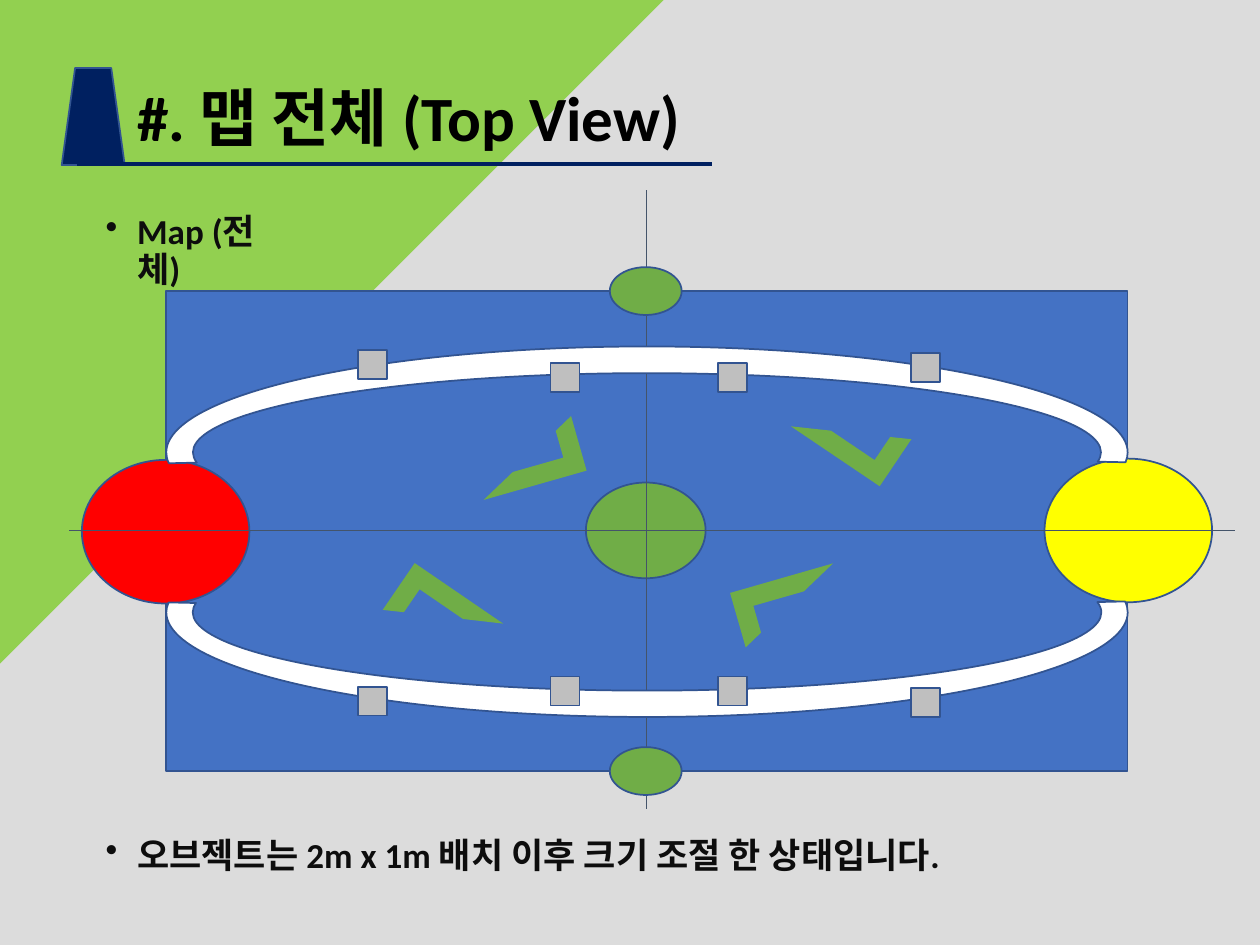
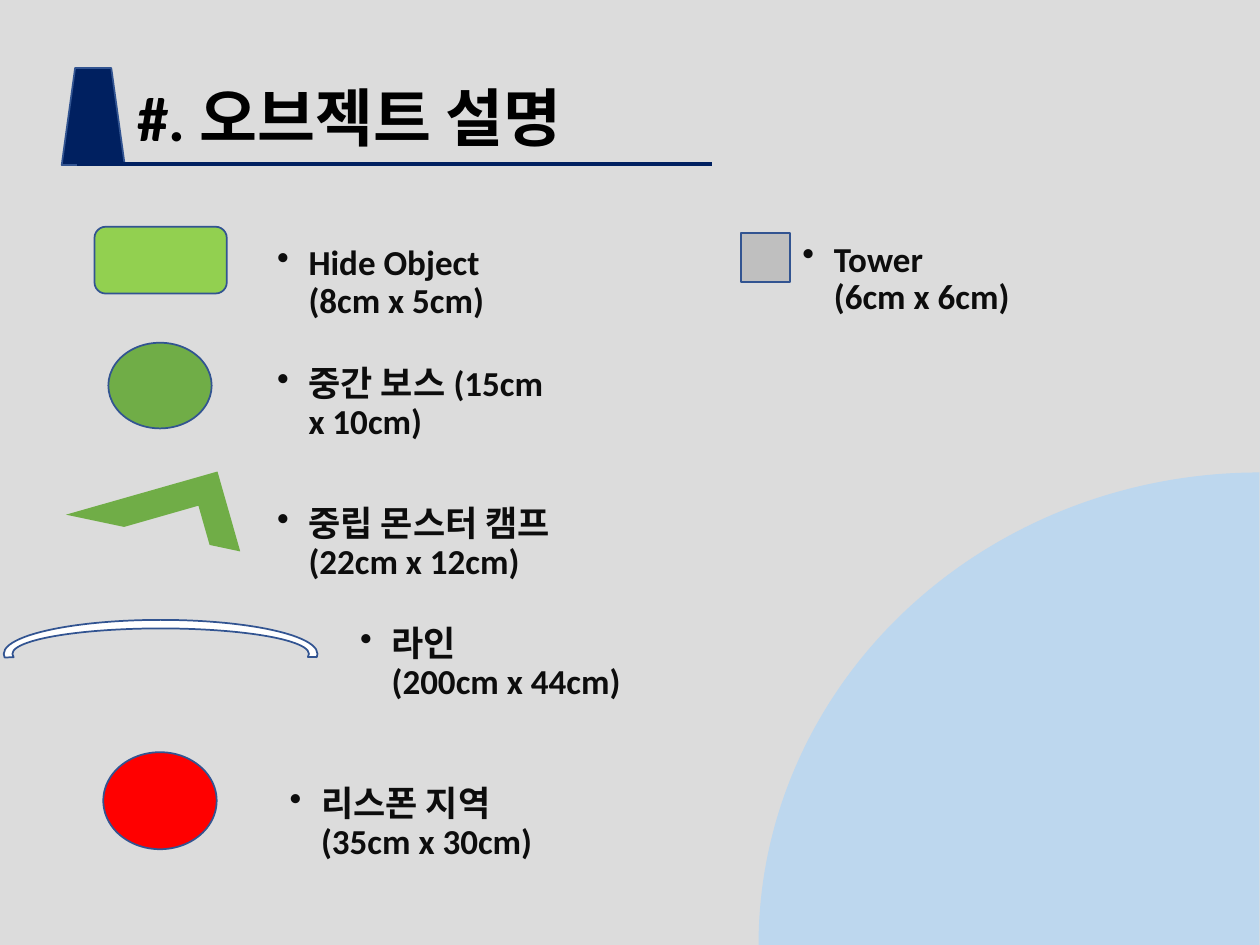
from lxml import etree
from pptx import Presentation
from pptx import util as u
from pptx.dml.color import RGBColor
from pptx.enum import shapes, text
from pptx.oxml import ns

PX = 9144
GREY = RGBColor(0xDC, 0xDC, 0xDC)
LIME = RGBColor(0x92, 0xD0, 0x50)
SKY = RGBColor(0xBD, 0xD7, 0xEE)
NAVY = RGBColor(0x00, 0x20, 0x60)
EDGE = RGBColor(0x32, 0x54, 0x91)
SLATE = RGBColor(0x44, 0x54, 0x6A)
BLUE = RGBColor(0x44, 0x72, 0xC4)
GREEN = RGBColor(0x70, 0xAD, 0x47)
RED = RGBColor(0xFF, 0x00, 0x00)
YELLOW = RGBColor(0xFF, 0xFF, 0x00)
WHITE = RGBColor(0xFF, 0xFF, 0xFF)
SILVER = RGBColor(0xBF, 0xBF, 0xBF)
BLACK = RGBColor(0x00, 0x00, 0x00)
INK = RGBColor(0x0D, 0x0D, 0x0D)
FONT = "Calibri"
ARC = (107.211, 0.716, 0.126)
MS = shapes.MSO_SHAPE


def add_shape(s, kind, box, fill, edge=EDGE, rot=0, adj=(), flip=False):
    sp = s.shapes.add_shape(kind, *[v * PX for v in box])
    sp.shadow.inherit = False
    sp.fill.solid()
    sp.fill.fore_color.rgb = fill
    if edge is None:
        sp.line.fill.background()
    else:
        sp.line.color.rgb = edge
        sp.line.width = u.Pt(1)
    for i, value in enumerate(adj):
        sp.adjustments[i] = value
    sp.rotation = rot
    if flip:
        sp._element.spPr.xfrm.set("flipV", "1")


def add_text(s, words, box, size=20, color=INK, bullet=True):
    tf = s.shapes.add_textbox(*[v * PX for v in box]).text_frame
    tf.word_wrap = True
    p = tf.paragraphs[0]
    p.text = words
    for r in p.runs:
        r.font.name = FONT
        r.font.size = u.Pt(size)
        r.font.bold = True
        r.font.color.rgb = color
    if bullet:
        p.line_spacing = 0.9
        p.space_before = u.Pt(10)
        pPr = p._p.get_or_add_pPr()
        pPr.set("marL", str(25 * PX))
        pPr.set("indent", str(-25 * PX))
        etree.SubElement(pPr, ns.qn("a:buChar")).set("char", "•")
    else:
        tf.auto_size = text.MSO_AUTO_SIZE.SHAPE_TO_FIT_TEXT


prs = Presentation()
prs.slide_width = 1000 * PX
prs.slide_height = 750 * PX
map_slide, legend = [prs.slides.add_slide(prs.slide_layouts[6]) for _ in range(2)]

for s in (map_slide, legend):
    add_shape(s, MS.RECTANGLE, (0, 0, 1000, 750), GREY, edge=None)
add_shape(map_slide, MS.ISOSCELES_TRIANGLE, (-244, -56, 748, 375), LIME, edge=None, rot=315)
add_shape(legend, MS.PIE, (602, 375, 795, 750), SKY, edge=None, adj=(107.825, 162))

for s, title in ((map_slide, "#. 맵 전체 (Top View)"), (legend, "#. 오브젝트 설명")):
    add_shape(s, MS.TRAPEZOID, (49, 54, 50, 77), NAVY, adj=(0.213,))
    add_text(s, title, (99, 57, 832, 71), size=36, color=BLACK, bullet=False)

add_text(map_slide, "Map (전체)", (74, 165, 170, 40))
add_text(map_slide, "오브젝트는 2m x 1m 배치 이후 크기 조절 한 상태입니다.", (74, 660, 728, 33))

add_shape(map_slide, MS.RECTANGLE, (132, 231, 763, 381), BLUE)
for box, fill in (
    ((65, 365, 133, 114), RED),
    ((829, 364, 133, 114), YELLOW),
    ((465, 383, 95, 76), GREEN),
):
    add_shape(map_slide, MS.OVAL, box, fill)

for x, y, rot in ((376, 341, 164.1), (309, 467, 34.4), (584, 458, 344), (633, 321, 214)):
    add_shape(map_slide, MS.HALF_FRAME, (x, y, 85, 45), GREEN, edge=None, rot=rot)

for s, ends, color, width in (
    (map_slide, (61, 130, 565, 130), NAVY, 2),
    (legend, (61, 130, 565, 130), NAVY, 2),
    (map_slide, (513, 151, 513, 642), SLATE, 0.5),
    (map_slide, (55, 421, 980, 421), SLATE, 0.5),
):
    line = s.shapes.add_connector(shapes.MSO_CONNECTOR.STRAIGHT, *[v * PX for v in ends])
    line.line.color.rgb = color
    line.line.width = u.Pt(width)
    etree.SubElement(line._element.spPr, ns.qn("a:effectLst"))

for y in (212, 593):
    add_shape(map_slide, MS.OVAL, (484, y, 57, 38), GREEN)
for y, height, rot in ((275, 168, 0), (403, 166, 180)):
    add_shape(map_slide, MS.BLOCK_ARC, (132, y, 763, height), WHITE, rot=rot, adj=ARC)
for x, top, bottom in ((284, 278, 545), (437, 288, 537), (570, 288, 537), (723, 280, 546)):
    for y in (top, bottom):
        add_shape(map_slide, MS.RECTANGLE, (x, y, 23, 23), SILVER)

for kind, box, fill, style, words, label in (
    (MS.ROUNDED_RECTANGLE, (75, 180, 105, 53), LIME, {},
     "Hide Object (8cm x 5cm)", (210, 190, 239, 40)),
    (MS.OVAL, (86, 272, 82, 68), GREEN, {},
     "중간 보스 (15cm x 10cm)", (210, 286, 239, 40)),
    (MS.HALF_FRAME, (59, 390, 125, 66), GREEN, {"edge": None, "rot": 164.1, "flip": True},
     "중립 몬스터 캠프(22cm x 12cm)", (210, 397, 261, 40)),
    (MS.BLOCK_ARC, (3, 492, 249, 54), WHITE, {"adj": ARC},
     "라인 \v(200cm x 44cm)", (276, 492, 261, 40)),
    (MS.OVAL, (82, 597, 90, 77), RED, {},
     "리스폰 지역 \v(35cm x 30cm)", (220, 619, 261, 40)),
    (MS.RECTANGLE, (588, 185, 39, 39), SILVER, {},
     "Tower\v(6cm x 6cm)", (627, 187, 239, 40)),
):
    add_shape(legend, kind, box, fill, **style)
    add_text(legend, words, label)

prs.save("out.pptx")
